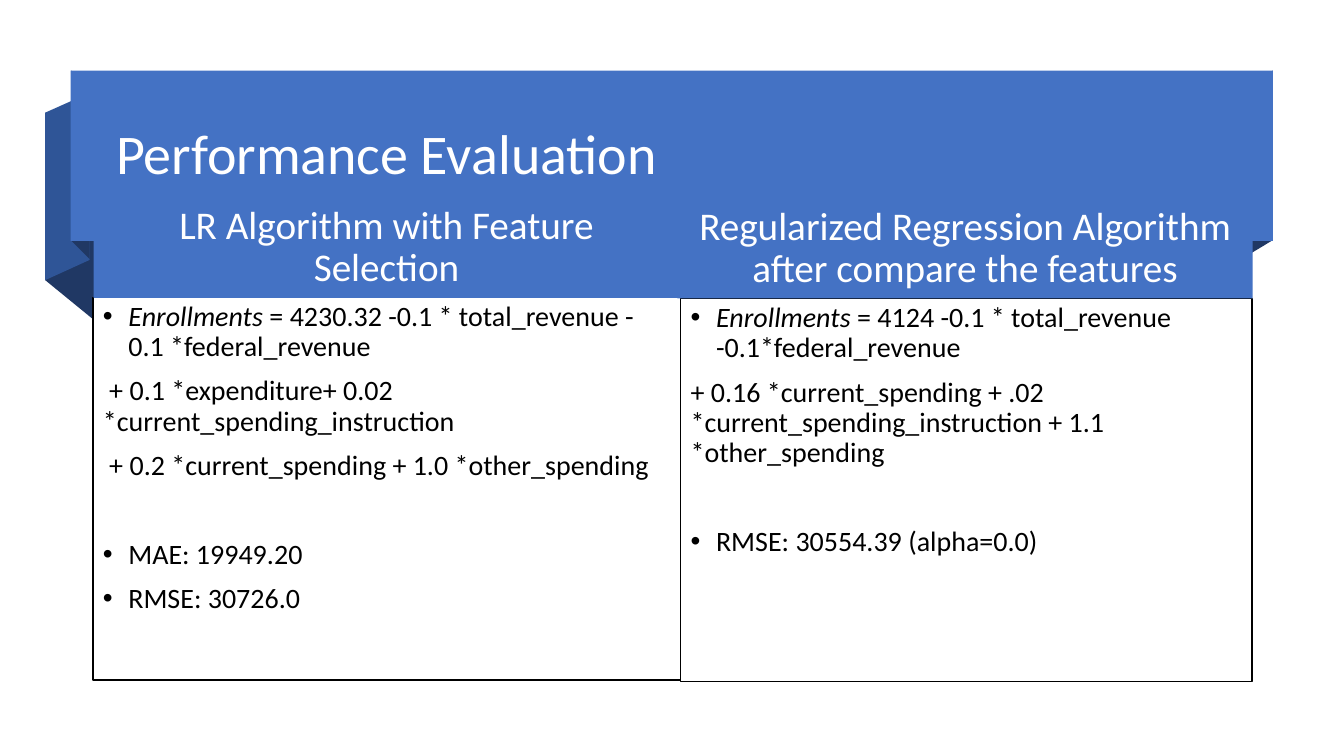
"""Build a slide comparing two regression models under a folded ribbon banner."""
import pptx
import pptx.dml.color
import pptx.enum.shapes
import pptx.enum.text
import pptx.oxml.ns
import pptx.util
from lxml import etree

Cm, Pt = pptx.util.Cm, pptx.util.Pt
RGBColor = pptx.dml.color.RGBColor
ALIGN, ANCHOR = pptx.enum.text.PP_ALIGN, pptx.enum.text.MSO_ANCHOR

BLUE = RGBColor(0x44, 0x72, 0xC4)
MID_BLUE = RGBColor(0x2F, 0x55, 0x97)
NAVY = RGBColor(0x20, 0x38, 0x64)
WHITE = RGBColor(0xFF, 0xFF, 0xFF)
BLACK = RGBColor(0, 0, 0)

RIBBON_FOLDS = [
    (NAVY, [(3.1, 8.66), (1.14, 7.06), (1.14, 2.84), (3.1, 4.45)]),
    (MID_BLUE, [(2.26, 6.55), (1.14, 7.06), (1.14, 2.84), (2.26, 2.34)]),
    (NAVY, [(2.26, 6.53), (1.8, 6.07), (1.8, 1.78), (2.26, 2.26)]),
    (NAVY, [(32.08, 6.05), (31.17, 6.6), (31.17, 2.31), (32.08, 1.78)]),
]
NORMAL_GAP, SECTION_GAP = 10, 42
MODELS = [
    ("LR Algorithm with Feature Selection",
     (2.36, 5.05, 14.76, 2.46), (2.34, 7.49, 14.81, 9.65),
     [("•", NORMAL_GAP, "Enrollments", " = 4230.32 -0.1 * total_revenue - 0.1 *federal_revenue"),
      ("", NORMAL_GAP, "", " + 0.1 *expenditure+ 0.02 *current_spending_instruction"),
      ("", NORMAL_GAP, "", " + 0.2 *current_spending + 1.0 *other_spending"),
      ("•", SECTION_GAP, "", "MAE: 19949.20"),
      ("•", NORMAL_GAP, "", "RMSE: 30726.0")]),
    ("Regularized Regression Algorithm after compare the features",
     (17.07, 5.08, 14.5, 2.44), (17.15, 7.52, 14.4, 9.65),
     [("•", NORMAL_GAP, "Enrollments", " = 4124 -0.1 * total_revenue -0.1*federal_revenue"),
      ("", NORMAL_GAP, "", "+ 0.16 *current_spending + .02 *current_spending_instruction + 1.1 *other_spending"),
      ("•", SECTION_GAP, "", "RMSE: 30554.39 (alpha=0.0)")]),
]


def place(holder, box, anchor):
    """Move a placeholder to the front, at a box in centimetres."""
    holder.left, holder.top, holder.width, holder.height = map(Cm, box)
    holder.element.getparent().append(holder.element)
    frame = holder.text_frame
    frame.word_wrap = True
    frame.auto_size = pptx.enum.text.MSO_AUTO_SIZE.NONE
    frame.vertical_anchor = anchor
    return frame


def style(paragraph, size, color, align, gap=0):
    """Set the spacing and font of a paragraph."""
    paragraph.alignment = align
    paragraph.line_spacing = 0.9
    paragraph.space_before = Pt(gap)
    paragraph.font.name = "Calibri"
    paragraph.font.size = Pt(size)
    paragraph.font.bold = False
    paragraph.font.color.rgb = color


deck = pptx.Presentation()
deck.slide_width, deck.slide_height = Cm(33.87), Cm(19.05)
slide = deck.slides.add_slide(deck.slide_layouts[4])
title, left_heading, left_results, right_heading, right_results = slide.placeholders

for color, corners in RIBBON_FOLDS:
    points = [(Cm(x), Cm(y)) for x, y in corners]
    outline = slide.shapes.build_freeform(*points[0])
    outline.add_line_segments(points[1:], close=True)
    fold = outline.convert_to_shape()
    fold.shadow.inherit = False
    fold.fill.solid()
    fold.fill.fore_color.rgb = color
    fold.line.fill.background()

banner = slide.shapes.add_shape(
    pptx.enum.shapes.MSO_SHAPE.RECTANGLE, Cm(1.78), Cm(1.78), Cm(30.3), Cm(4.29))
banner.shadow.inherit = False
banner.fill.solid()
banner.fill.fore_color.rgb = BLUE
banner.line.fill.background()

title_frame = place(title, (2.67, 2.24, 28.52, 3.38), ANCHOR.MIDDLE)
title_frame.text = "Performance Evaluation"
style(title_frame.paragraphs[0], 40, WHITE, ALIGN.LEFT)

columns = [(left_heading, left_results), (right_heading, right_results)]
for (heading, results), (name, heading_box, results_box, lines) in zip(columns, MODELS):
    results_frame = place(results, results_box, ANCHOR.TOP)
    results.fill.solid()
    results.fill.fore_color.rgb = WHITE
    results.line.color.rgb = BLACK
    results.line.width = Pt(1)
    for number, (bullet, gap, variable, formula) in enumerate(lines):
        line = results_frame.add_paragraph() if number else results_frame.paragraphs[0]
        properties = line._p.get_or_add_pPr()
        indent = Cm(0.64) if bullet else 0
        properties.set("marL", str(indent))
        properties.set("indent", str(-indent))
        if bullet:
            etree.SubElement(properties, pptx.oxml.ns.qn("a:buChar"), char=bullet)
        else:
            etree.SubElement(properties, pptx.oxml.ns.qn("a:buNone"))
        style(line, 20, BLACK, ALIGN.LEFT, gap if number else 0)
        if variable:
            term = line.add_run()
            term.text = variable
            term.font.italic = True
        line.add_run().text = formula

    heading_frame = place(heading, heading_box, ANCHOR.TOP)
    heading.fill.solid()
    heading.fill.fore_color.rgb = BLUE
    heading_frame.text = name
    style(heading_frame.paragraphs[0], 28, WHITE, ALIGN.CENTER)

deck.save("out.pptx")
